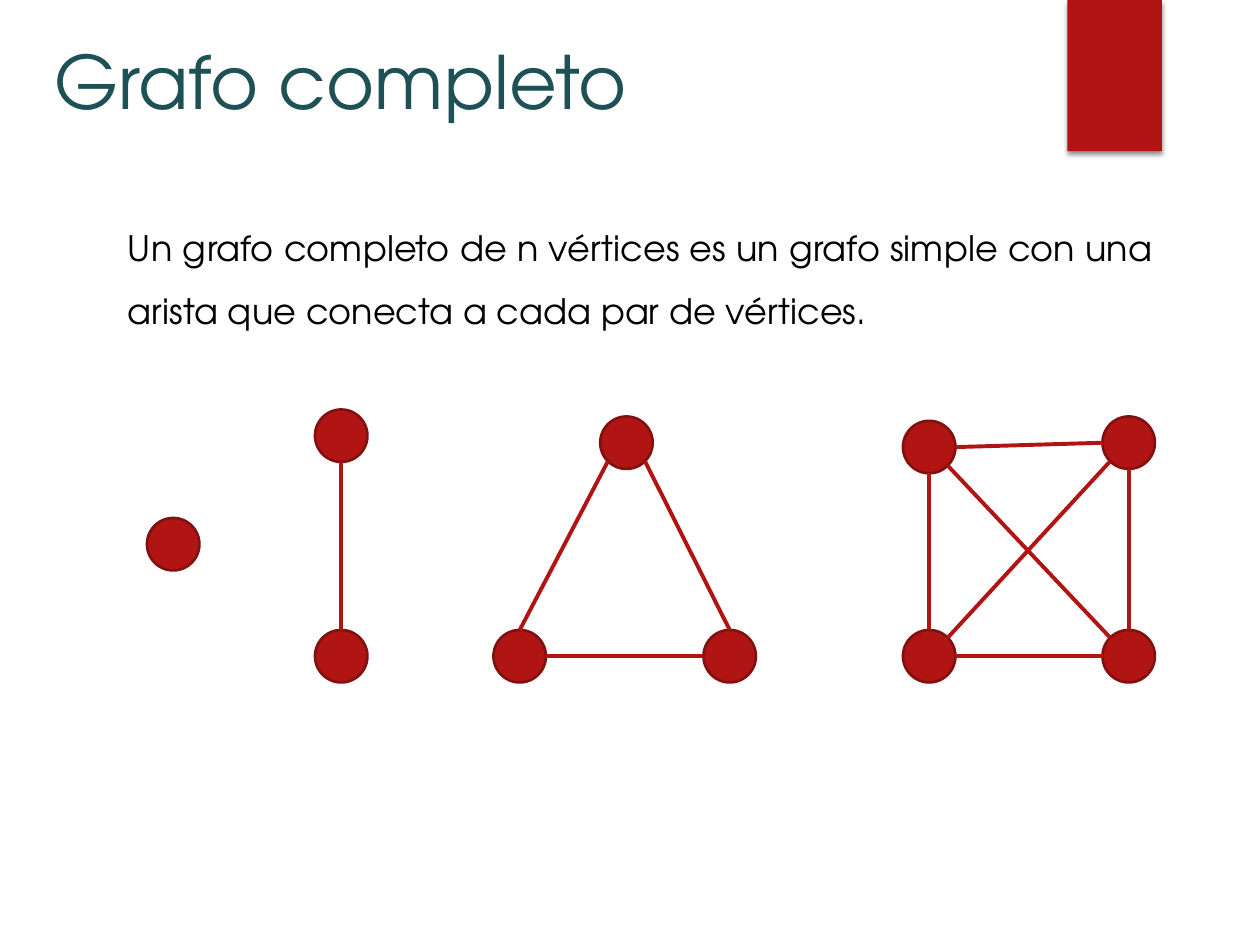
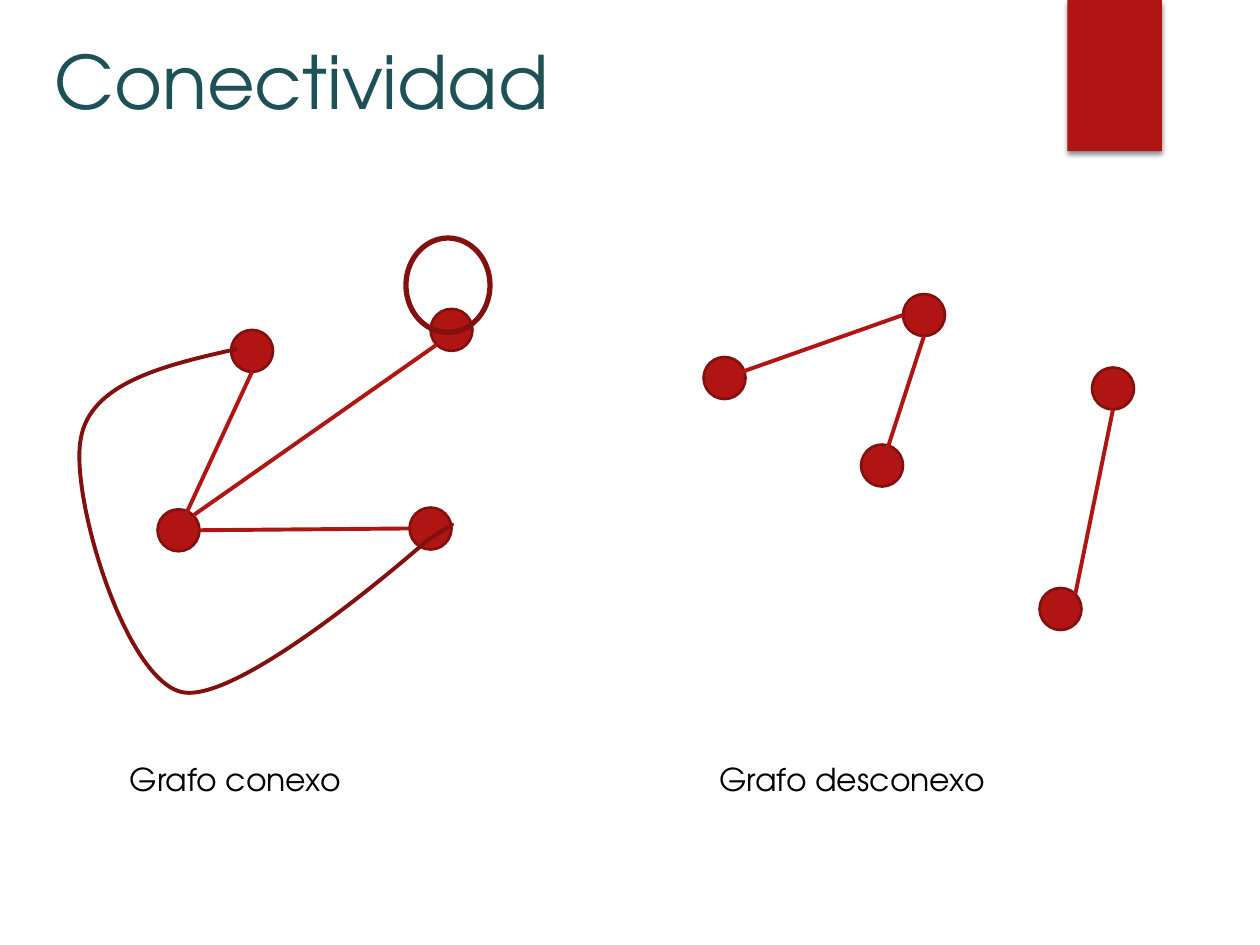
from lxml import etree
from pptx import Presentation
from pptx.dml.color import RGBColor
from pptx.enum import shapes, text
from pptx.oxml.ns import qn
from pptx.util import Pt

RED = RGBColor(0xB0, 0x15, 0x13)
DARK = RGBColor(0x82, 0x10, 0x0E)
TEAL = RGBColor(0x1E, 0x51, 0x55)
BLACK = RGBColor(0, 0, 0)
FONT = "TeX Gyre Adventor"
OVAL = shapes.MSO_SHAPE.OVAL

# Where an edge meets a node, in radii from the centre
DIAG = 0.5 ** 0.5
SITES = {
    "C": (0, 0), "N": (0, -1), "S": (0, 1), "W": (-1, 0), "E": (1, 0),
    "NE": (DIAG, -DIAG), "SE": (DIAG, DIAG), "SW": (-DIAG, DIAG),
}

# Nodes are (left, top); edges are (node, site, node, site)
GRAPHS = [
    {
        "title": "Grafo completo",
        "size": 30,
        "nodes": {
            "one": (84, 296),
            "two top": (180, 234), "two low": (180, 360),
            "tri top": (343, 238), "tri left": (282, 360), "tri right": (402, 360),
            "sq nw": (516, 240.5), "sq ne": (630, 238),
            "sq sw": (516, 360), "sq se": (630, 360),
        },
        "edges": [
            ("two top", "S", "two low", "N"),
            ("tri top", "SW", "tri left", "N"),
            ("tri top", "SE", "tri right", "N"),
            ("tri right", "W", "tri left", "E"),
            ("sq nw", "S", "sq sw", "N"),
            ("sq ne", "S", "sq se", "N"),
            ("sq ne", "W", "sq nw", "E"),
            ("sq se", "W", "sq sw", "E"),
            ("sq ne", "SW", "sq sw", "NE"),
            ("sq nw", "SE", "sq se", "C"),
        ],
    },
    {
        "title": "Conectividad",
        "size": 24,
        "nodes": {
            "top": (132, 188.5), "hub": (90, 291),
            "looped": (246, 176.5), "right": (234, 290),
            "left end": (402, 204), "low end": (492, 254), "peak": (516, 168),
            "pair top": (624, 210), "pair low": (594, 336),
        },
        "edges": [
            ("top", "S", "hub", "C"),
            ("looped", "SW", "hub", "NE"),
            ("right", "W", "hub", "E"),
            ("peak", "W", "left end", "C"),
            ("peak", "S", "low end", "C"),
            ("pair top", "S", "pair low", "NE"),
        ],
    },
]
# The diagonal of the square stops at the rim of its last node
GRAPHS[0]["edges"][-1] = ("sq nw", "SE", "sq se", "NW")
SITES["NW"] = (-DIAG, -DIAG)

# Start, then three control points for each Bézier piece
CURVE = [
    (135.4, 199.4),
    (93.6, 208.8), (51.1, 218.9), (46.1, 251.3),
    (40.3, 283.7), (70.6, 385.9), (103, 395.3),
    (136.1, 404.6), (244.1, 308.9), (244.1, 308.9),
    (267.8, 293.8), (257.8, 300.2), (247, 306.7),
]


def write(slide, box, words, size, color):
    """Add a wrapped text box and return its paragraph."""
    frame = slide.shapes.add_textbox(*map(Pt, box)).text_frame
    frame.word_wrap = True
    frame.text = words
    para = frame.paragraphs[0]
    font = para.runs[0].font
    font.name, font.size = FONT, Pt(size)
    font.color.rgb = color
    return para


def paint(shape, fill, width):
    """Give a shape a dark outline and a fill, or no fill."""
    shape.shadow.inherit = False
    if fill is None:
        shape.fill.background()
    else:
        shape.fill.solid()
        shape.fill.fore_color.rgb = fill
    shape.line.color.rgb = DARK
    shape.line.width = Pt(width)


deck = Presentation()
deck.slide_width, deck.slide_height = Pt(720), Pt(540)

pages = []
for graph in GRAPHS:
    page = deck.slides.add_slide(deck.slide_layouts[6])
    pages.append(page)

    # Red tab with a soft shadow, and the title
    tab = page.shapes.add_shape(
        shapes.MSO_SHAPE.RECTANGLE, Pt(610), 0, Pt(54), Pt(86.4))
    tab.fill.solid()
    tab.fill.fore_color.rgb = RED
    tab.line.fill.background()
    tab.shadow.inherit = False
    glow = etree.SubElement(
        tab._element.spPr.find(qn("a:effectLst")), qn("a:outerShdw"),
        blurRad=str(Pt(3)), dist=str(Pt(2)), dir="5400000", rotWithShape="0")
    tint = etree.SubElement(glow, qn("a:srgbClr"), val="000000")
    etree.SubElement(tint, qn("a:alpha"), val="45000")
    write(page, (24, 17.3, 648, 90), graph["title"], 42, TEAL)

    size, nodes = graph["size"], graph["nodes"]
    for left, top in nodes.values():
        node = page.shapes.add_shape(OVAL, Pt(left), Pt(top), Pt(size), Pt(size))
        paint(node, RED, 1.5)

    for start, out, end, into in graph["edges"]:
        ends = []
        for name, site in ((start, out), (end, into)):
            for corner, shift in zip(nodes[name], SITES[site]):
                ends.append(Pt(corner + size / 2 * (1 + shift)))
        edge = page.shapes.add_connector(shapes.MSO_CONNECTOR.STRAIGHT, *ends)
        edge.line.color.rgb = RED
        edge.line.width = Pt(2.25)
        etree.SubElement(edge._element.spPr, qn("a:effectLst"))

full, linked = pages

# Definition of the complete graph
para = write(
    full, (66, 113.8, 600, 101.5),
    "Un grafo completo de n vértices es un grafo simple con una arista "
    "que conecta a cada par de vértices.", 20, BLACK)
para.alignment = text.PP_ALIGN.JUSTIFY
para.line_spacing = 1.5

# Curved edge: each three straight steps become one Bézier piece
dots = [(Pt(x), Pt(y)) for x, y in CURVE]
pen = linked.shapes.build_freeform(*dots[0])
pen.add_line_segments(dots[1:], close=False)
curve = pen.convert_to_shape()
paint(curve, None, 2.25)
steps = list(curve._element.iter(qn("a:lnTo")))
for i in range(0, len(steps), 3):
    piece = etree.Element(qn("a:cubicBezTo"))
    steps[i].addprevious(piece)
    for step in steps[i:i + 3]:
        piece.append(step[0])
        step.getparent().remove(step)

# Loop on a single node
ring = linked.shapes.add_shape(OVAL, Pt(232), Pt(136), Pt(48), Pt(54))
paint(ring, None, 3)

for left, label in ((67, "Grafo conexo"), (404, "Grafo desconexo")):
    write(linked, (left, 430.5, 230, 29), label, 18, BLACK)

deck.save("out.pptx")
